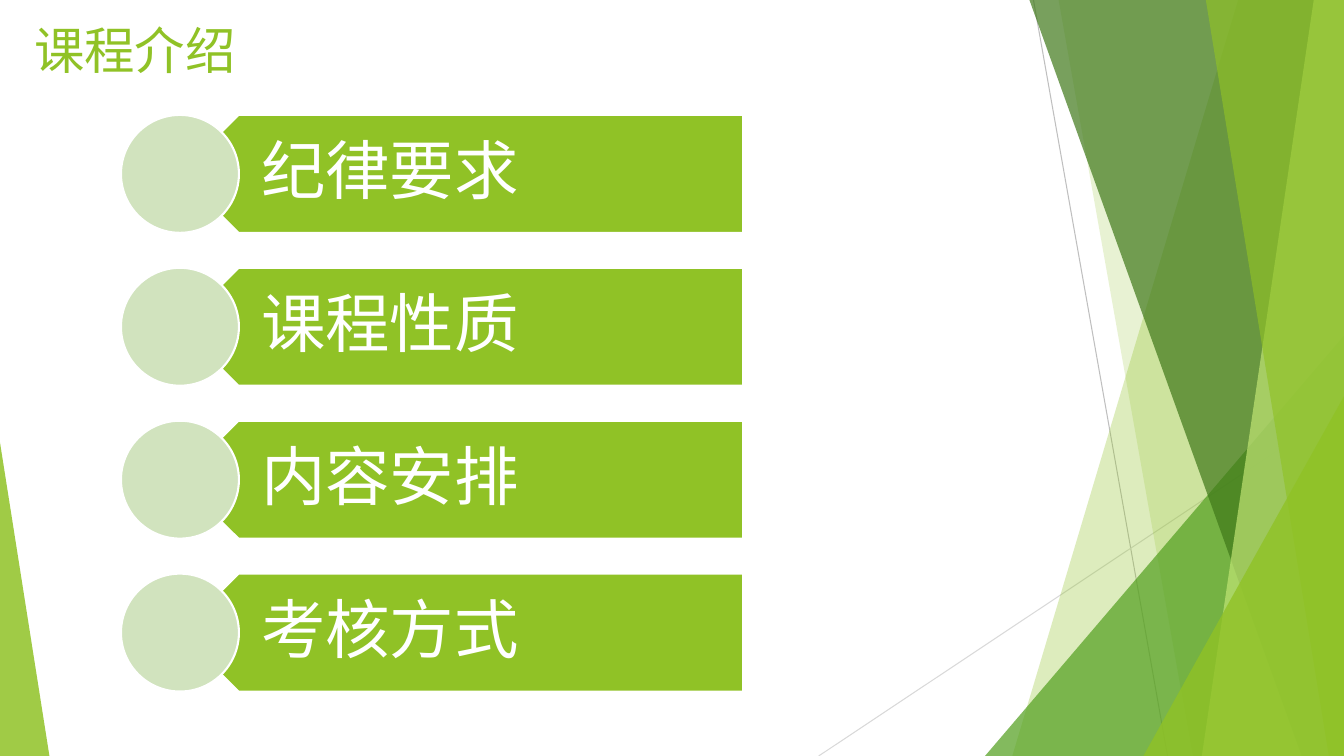
"""Build the course introduction slide with four topic banners."""
from lxml import etree
from pptx import Presentation
from pptx.dml.color import RGBColor
from pptx.enum.shapes import MSO_CONNECTOR, MSO_SHAPE
from pptx.enum.text import MSO_ANCHOR
from pptx.oxml.ns import qn
from pptx.util import Inches, Pt

STRAIGHT = MSO_CONNECTOR.STRAIGHT
TRIANGLE = MSO_SHAPE.ISOSCELES_TRIANGLE
BANNER = MSO_SHAPE.PENTAGON
CIRCLE = MSO_SHAPE.OVAL
TOP, MIDDLE = MSO_ANCHOR.TOP, MSO_ANCHOR.MIDDLE

TITLE = "课程介绍"
TOPICS = ["纪律要求", "课程性质", "内容安排", "考核方式"]
FONT = "Roboto"
COLORS = {
    "lime": "90C226", "green": "54A021", "forest": "3F7819", "pale": "C0E474",
    "sage": "D1E3BE", "white": "FFFFFF", "gray": "BFBFBF", "silver": "D9D9D9",
}
WIDTH, HEIGHT = 13.33, 7.5
RAYS = [
    ((10.25, 0), (11.58, HEIGHT), "gray"),
    ((WIDTH, 4.03), (8.12, HEIGHT), "silver"),
]
# Bands: top-left x, bottom-left x. Triangles: left, top, width, apex.
FACETS = [
    ("band", (12.28, 10.04), "lime", 30),
    ("band", (10.5, 11.83), "lime", 20),
    ("triangle", (9.77, 3.33, 3.56, 1), "green", 72),
    ("band", (10.21, 12.91), "forest", 70),
    ("band", (13.03, 11.92), "pale", 70),
    ("band", (11.96, 13.18), "lime", 65),
    ("triangle", (11.34, 3.93, 1.99, 1), "lime", 80),
    ("triangle", (0, 4.39, 0.49, 0), "lime", 85),
]
ROW_TOP, ROW_PITCH, ROW_HEIGHT = 1.14, 1.517, 1.17
BANNER_LEFT, BANNER_WIDTH = 1.78, 5.59
LABEL_LEFT, LABEL_WIDTH = 2.07, 5.29
CIRCLE_LEFT = 1.2


def rgb(name):
    """Return the named colour."""
    return RGBColor.from_string(COLORS[name])


def paint(sp, fill, line=None, alpha=None):
    """Set fill, outline and opacity of a shape."""
    sp.shadow.inherit = False
    sp.fill.solid()
    sp.fill.fore_color.rgb = rgb(fill)
    if alpha:
        color = sp.fill._xPr.find(qn("a:solidFill"))[0]
        etree.SubElement(color, qn("a:alpha")).set("val", str(alpha * 1000))
    if line:
        sp.line.color.rgb = rgb(line)
        sp.line.width = Pt(1.5)
    else:
        sp.line.fill.background()


def add_preset(s, kind, box, fill, **style):
    """Add a painted preset shape."""
    sp = s.shapes.add_shape(kind, *map(Inches, box))
    paint(sp, fill, **style)
    return sp


def add_text(s, text, box, size, color, anchor=TOP, insets=(0.1, 0.05, 0.1, 0.05), spacing=None):
    """Add a formatted text box."""
    tf = s.shapes.add_textbox(*map(Inches, box)).text_frame
    tf.word_wrap = True
    tf.vertical_anchor = anchor
    tf.margin_left, tf.margin_top, tf.margin_right, tf.margin_bottom = map(Inches, insets)
    p = tf.paragraphs[0]
    p.line_spacing = spacing
    r = p.add_run()
    r.text = text
    r.font.name = FONT
    r.font.size = Pt(size)
    r.font.color.rgb = rgb(color)
    etree.SubElement(r.font._element, qn("a:ea")).set("typeface", FONT)


def add_ray(s, start, end, color):
    """Add a thin background line."""
    ray = s.shapes.add_connector(STRAIGHT, *map(Inches, start + end))
    ray.line.color.rgb = rgb(color)
    ray.line.width = Pt(0.75)
    etree.SubElement(ray._element.spPr, qn("a:effectLst"))


def add_facet(s, kind, geometry, color, alpha):
    """Add a translucent background facet."""
    if kind == "band":
        top_x, bottom_x = geometry
        corners = [(top_x, 0), (WIDTH, 0), (WIDTH, HEIGHT), (bottom_x, HEIGHT)]
        points = [(Inches(x), Inches(y)) for x, y in corners]
        builder = s.shapes.build_freeform(*points[0])
        builder.add_line_segments(points[1:], close=True)
        paint(builder.convert_to_shape(), color, alpha=alpha)
    else:
        left, top, width, apex = geometry
        box = (left, top, width, HEIGHT - top)
        add_preset(s, TRIANGLE, box, color, alpha=alpha).adjustments[0] = apex


def add_topic(s, index, topic):
    """Add one banner with its label and circle."""
    top = ROW_TOP + index * ROW_PITCH
    box = (BANNER_LEFT, top, BANNER_WIDTH, ROW_HEIGHT)
    add_preset(s, BANNER, box, "lime", line="white").rotation = 180
    add_text(s, topic, (LABEL_LEFT, top, LABEL_WIDTH, ROW_HEIGHT), size=46, color="white",
             anchor=MIDDLE, insets=(0.52, 0.19, 0.36, 0.19), spacing=0.9)
    add_preset(s, CIRCLE, (CIRCLE_LEFT, top, ROW_HEIGHT, ROW_HEIGHT), "sage", line="white")


def main():
    """Assemble and save the slide."""
    prs = Presentation()
    prs.slide_width, prs.slide_height = Inches(WIDTH), Inches(HEIGHT)
    s = prs.slides.add_slide(prs.slide_layouts[6])
    for ray in RAYS:
        add_ray(s, *ray)
    for facet in FACETS:
        add_facet(s, *facet)
    for index, topic in enumerate(TOPICS):
        add_topic(s, index, topic)
    add_text(s, TITLE, (0.24, 0.14, 4.3, 0.78), size=36, color="lime")
    prs.save("out.pptx")


if __name__ == "__main__":
    main()
